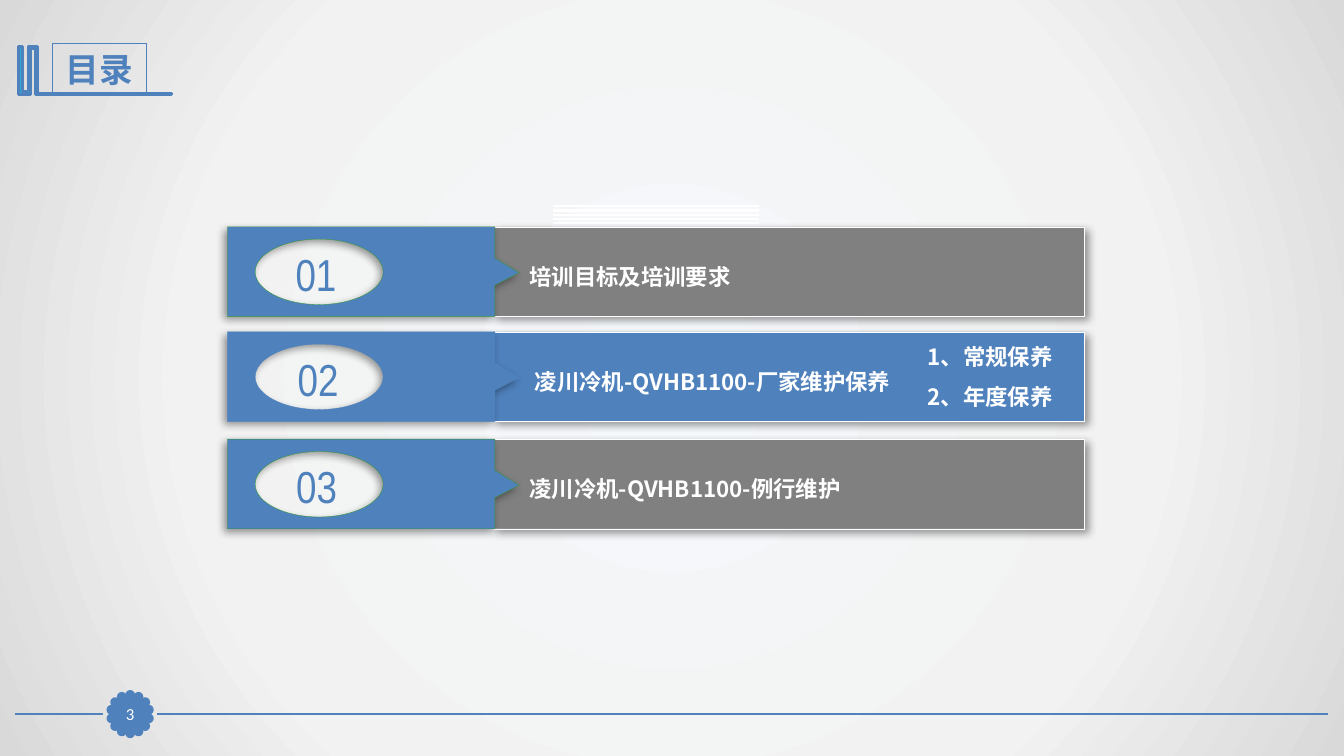
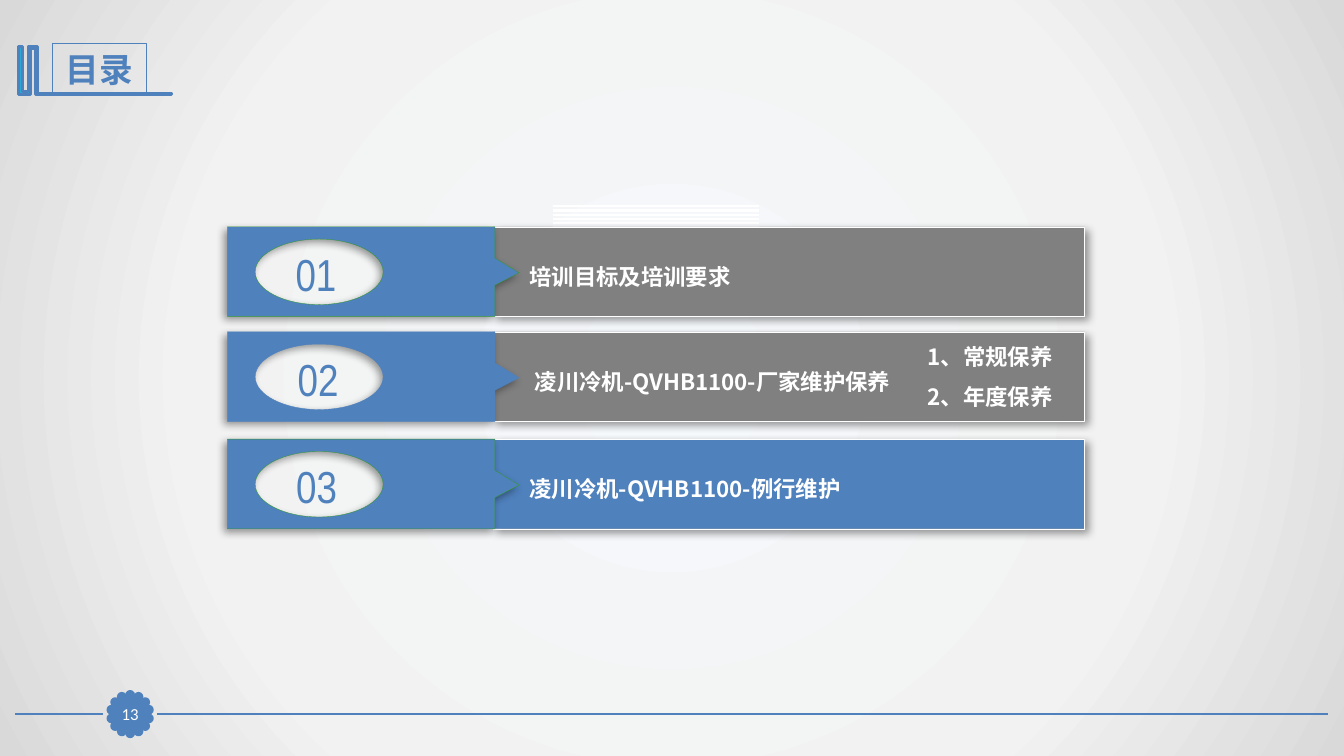
from math import cos, sin, tau
from lxml.etree import SubElement
from pptx import Presentation
from pptx.dml.color import RGBColor
from pptx.enum.shapes import MSO_CONNECTOR as Link, MSO_SHAPE as Kind
from pptx.enum.text import MSO_ANCHOR as Anchor, PP_ALIGN as Align
from pptx.oxml import parse_xml
from pptx.oxml.ns import nsdecls, qn
from pptx.util import Pt

# Content
TITLE = "目录"
ROWS = [  # top, number, number centre, label, label font, indent, tab outline
    (162, "01", 225.7, "培训目标及培训要求", "Calibri", 0, "339933"),
    (237, "02", 227.2, "凌川冷机-QVHB1100-厂家维护保养", "Noto Sans CJK SC", 3.6,
     "4F81BD"),
    (313.7, "03", 226.2, "凌川冷机-QVHB1100-例行维护", "Noto Sans CJK SC", 0, "339933"),
]
NOTES = ["1、常规保养", "2、年度保养"]
PAGES = [("3", "02"), ("13", "03")]  # page number, active row

# Shared style
BLUE, GREY, WHITE, CYAN = "4F81BD", "808080", "FFFFFF", "28A9D6"
NARROW, SANS = "Arial Narrow", "Noto Sans CJK SC"
STOPS = [(0, "F6F9FC"), (63, "F2F2F2"), (100, "D9D9D9")]
BOOKS = [(26.3, 33.1), (27, 33.1), (27, 66.4), (122.8, 66.4),
         (122.8, 67.7), (25.6, 67.7), (25.6, 34.6), (22, 34.6),
         (22, 67.7), (13.5, 67.7), (13.5, 33.1), (16.4, 33.1),
         (16.4, 65.5), (20, 65.5), (20, 33.1)]
HIGH = 64  # row height
TAB = [(162.4, 0), (353.5, 0), (353.5, 22.3), (370.8, 32.8),
       (353.5, 41.8), (353.5, HIGH), (162.4, HIGH)]


def rgb(code):
    return RGBColor.from_string(code)


def paint(shape, fill, line, width):
    shape.shadow.inherit = False
    shape.fill.solid()
    shape.fill.fore_color.rgb = rgb(fill)
    shape.line.color.rgb = rgb(line)
    shape.line.width = Pt(width)
    return shape


def shade(shape, angle):
    effects = shape.element.spPr.find(qn("a:effectLst"))
    cast = SubElement(effects, qn("a:outerShdw"), blurRad=str(Pt(6)),
                      dist=str(Pt(3)), dir=str(angle * 60000), rotWithShape="0")
    tint = SubElement(cast, qn("a:srgbClr"), val="000000")
    SubElement(tint, qn("a:alpha"), val="40000")


def block(slide, kind, box, fill, line, width):
    shape = slide.shapes.add_shape(kind, *map(Pt, box))
    return paint(shape, fill, line, width)


def rule(slide, x1, x2, y, color, width):
    line = slide.shapes.add_connector(Link.STRAIGHT, Pt(x1), Pt(y), Pt(x2), Pt(y))
    line.line.color.rgb = rgb(color)
    line.line.width = Pt(width)
    SubElement(line.element.spPr, qn("a:effectLst"))


def outline(slide, points):
    (x, y), *rest = [(Pt(x), Pt(y)) for x, y in points]
    pen = slide.shapes.build_freeform(x, y, scale=1.0)
    pen.add_line_segments(rest, close=True)
    return pen.convert_to_shape()


def pierce(shape, x, y, rx, ry):
    """Cut an oval of four curves, centred at x, y inside the freeform."""
    track = shape.element.spPr.find(".//" + qn("a:path"))

    def step(tag, *spots):
        node = SubElement(track, qn(tag))
        for u, v in spots:
            SubElement(node, qn("a:pt"), x=str(Pt(x + rx * u)), y=str(Pt(y + ry * v)))

    k = 0.55
    step("a:moveTo", (0, -1))
    for u, v in [(0, -1), (-1, 0), (0, 1), (1, 0)]:
        p, q = v, -u  # next quarter point
        step("a:cubicBezTo", (u + k * p, v + k * q), (p + k * u, q + k * v), (p, q))
    SubElement(track, qn("a:close"))


def write(shape, text, size, font, color, bold=False, align=Align.LEFT,
          anchor=Anchor.TOP):
    frame = shape.text_frame
    frame.text = text
    frame.word_wrap = True
    frame.vertical_anchor = anchor
    par = frame.paragraphs[0]
    par.alignment = align
    run = par.runs[0]
    run.font.size, run.font.name, run.font.bold = Pt(size), font, bold
    run.font.color.rgb = rgb(color)
    SubElement(run.font._element, qn("a:ea"), typeface=SANS)
    return frame


def label(slide, box, *args, **opts):
    return write(slide.shapes.add_textbox(*map(Pt, box)), *args, **opts)


def backdrop(master):
    master.background.fill.solid()
    props = master.element.find(".//" + qn("p:bgPr"))
    stops = "".join(f'<a:gs pos="{pos * 1000}"><a:srgbClr val="{code}"/></a:gs>'
                    for pos, code in STOPS)
    props.replace(props[0], parse_xml(
        f'<a:gradFill {nsdecls("a")} rotWithShape="1"><a:gsLst>{stops}</a:gsLst>'
        '<a:path path="circle"><a:fillToRect l="50000" t="50000" r="50000" '
        'b="50000"/></a:path></a:gradFill>'))


def furnish(slide, layout):
    """Draw the footer line, scallops and books, and hand them to the layout."""
    for x1, x2 in [(112.5, 948.7), (11, 73.4)]:
        rule(slide, x1, x2, 510.2, BLUE, 1.25)
    for i in range(14):
        x, y = 93 + 13.7 * sin(tau * i / 14), 510.1 - 13.7 * cos(tau * i / 14)
        block(slide, Kind.OVAL, (x - 2.5, y - 2.5, 5, 5), BLUE, BLUE, 2)
    paint(outline(slide, BOOKS), CYAN, BLUE, 2)
    tree = layout.shapes[0].element.getparent()
    for shape in list(slide.shapes):
        if not shape.is_placeholder:
            tree.append(shape.element)


def head(slide):
    title = slide.shapes.title
    title.left, title.top, title.width, title.height = map(Pt, (37.4, 31, 67, 36))
    title.line.color.rgb = rgb(BLUE)
    title.line.width = Pt(0.75)
    write(title, TITLE, 24, NARROW, BLUE, True, Align.CENTER, Anchor.MIDDLE)


def badge(slide, page):
    box = block(slide, Kind.RECTANGLE, (81.5, 499, 23, 22.3), BLUE, BLUE, 0.75)
    text = write(box, page, 12, "Calibri", WHITE, align=Align.CENTER,
                 anchor=Anchor.MIDDLE)
    text.margin_left = text.margin_right = text.margin_top = text.margin_bottom = 0


def row(slide, active, top, number, mid, text, font, indent, edge):
    fill = BLUE if number == active else GREY
    bar = block(slide, Kind.RECTANGLE, (352, top, 422.7, HIGH), fill, WHITE, 0.25)
    shade(bar, 45)
    tab = outline(slide, [(x, top + y) for x, y in TAB])
    pierce(tab, 228 - TAB[0][0], 32.2, 45.7, 23.4)
    shade(paint(tab, BLUE, edge, 0.25), 135)
    label(slide, (mid - 36.5, top + 10.2, 73, 46), number, 32, NARROW, BLUE,
          align=Align.CENTER, anchor=Anchor.MIDDLE)
    words = label(slide, (371.2, top + 22.4, 404, 26.6), text, 16, font, WHITE, True)
    words.margin_left = Pt(7.2 + indent)


def main():
    prs = Presentation()
    prs.slide_width, prs.slide_height = Pt(960), Pt(540)
    backdrop(prs.slide_master)
    layout = prs.slide_layouts[5]
    for i, (page, active) in enumerate(PAGES):
        slide = prs.slides.add_slide(layout)
        if i == 0:
            furnish(slide, layout)
        head(slide)
        for j in range(6):
            rule(slide, 394.8, 542.2, 147.4 + 3 * j, WHITE, 1.5)
        for item in ROWS:
            row(slide, active, *item)
        badge(slide, page)
        for j, note in enumerate(NOTES):
            label(slide, (655.6, 241.6 + 28.4 * j, 124, 26.6), note, 16, SANS, WHITE,
                  True)
    prs.save("out.pptx")


if __name__ == "__main__":
    main()
